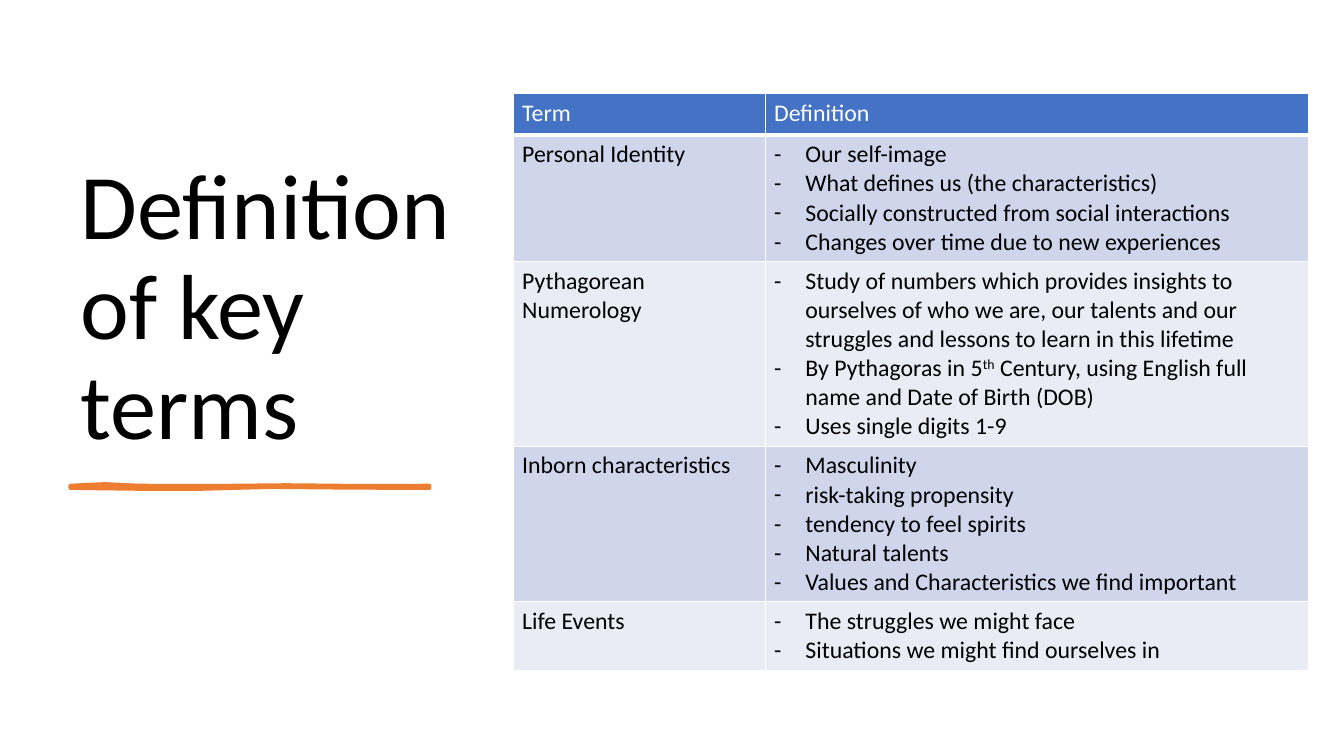
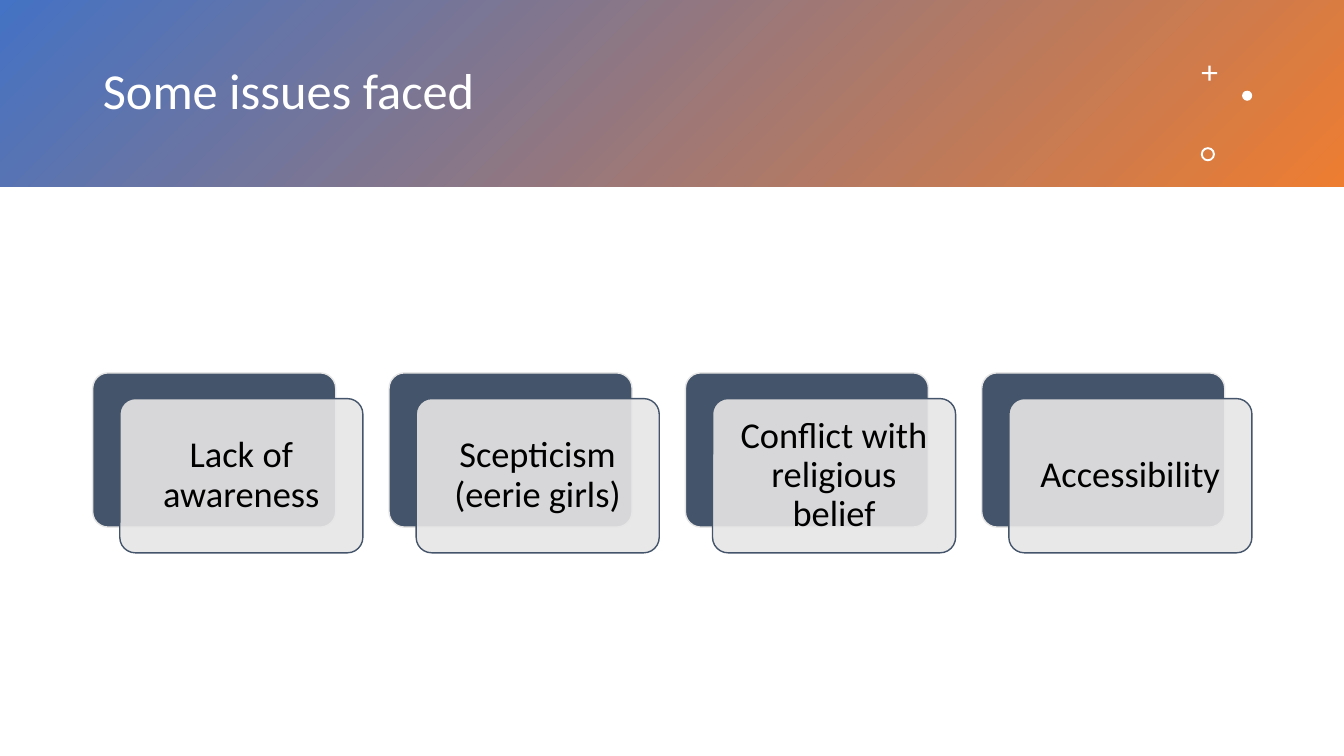
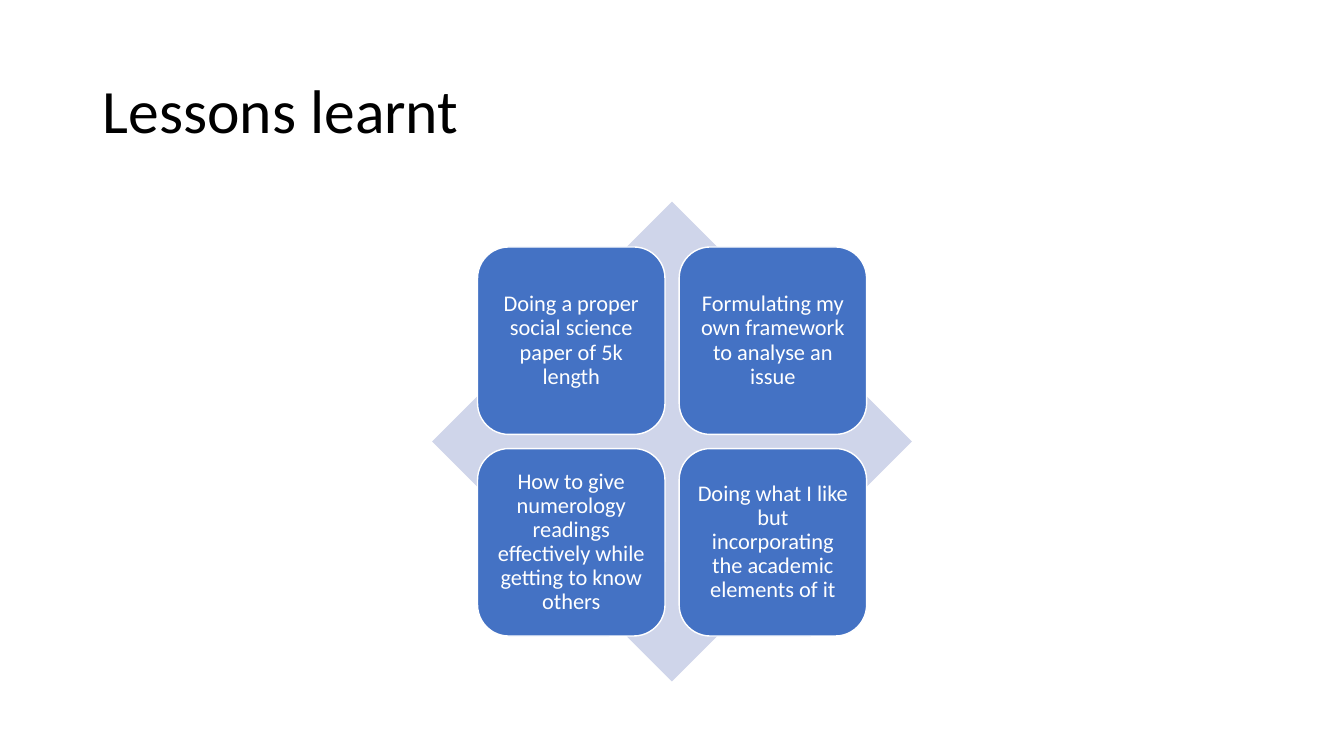
import lxml.etree
import pptx
import pptx.dml.color
import pptx.enum.shapes
import pptx.enum.text
import pptx.oxml.ns
import pptx.util

FONT = "Calibri"
COLOURS = {
    "black": "000000", "white": "FFFFFF", "blue": "4472C4", "orange": "ED7D31",
    "slate": "44546A", "grey": "E7E6E6", "pale": "CFD5EA", "paler": "E9EBF5",
}
SHAPES = pptx.enum.shapes.MSO_SHAPE
ALIGN = pptx.enum.text.PP_ALIGN
ANCHOR = pptx.enum.text.MSO_ANCHOR

TERMS = [
    ("Personal Identity", [
        "Our self-image",
        "What defines us (the characteristics)",
        "Socially constructed from social interactions",
        "Changes over time due to new experiences"]),
    ("Pythagorean Numerology", [
        "Study of numbers which provides insights to ourselves of who we are, "
        "our talents and our struggles and lessons to learn in this lifetime",
        "By Pythagoras in 5^th^ Century, using English full name and Date of Birth (DOB)",
        "Uses single digits 1-9"]),
    ("Inborn characteristics", [
        "Masculinity",
        "risk-taking propensity",
        "tendency to feel spirits",
        "Natural talents",
        "Values and Characteristics we find important"]),
    ("Life Events", [
        "The struggles we might face",
        "Situations we might find ourselves in"]),
]
ISSUES = ["Lack of awareness", "Scepticism (eerie girls)",
          "Conflict with religious belief", "Accessibility"]
LESSONS = [
    "Doing a proper social science paper of 5k length",
    "Formulating my own framework to analyse an issue",
    "How to give numerology readings effectively while getting to know others",
    "Doing what I like but incorporating the academic elements of it",
]


def rgb(name):
    return pptx.dml.color.RGBColor.from_string(COLOURS[name])


def add_xml(parent, tag, **attributes):
    child = lxml.etree.SubElement(parent, pptx.oxml.ns.qn(tag))
    for key, value in attributes.items():
        child.set(key, str(value))
    return child


class Slides:
    """Deck style and current page; lengths are percent of the slide's size."""

    def __init__(self):
        self.deck = pptx.Presentation()
        self.deck.slide_width = pptx.util.Inches(13.33)
        self.deck.slide_height = pptx.util.Inches(7.5)
        self.page = None

    def new_page(self):
        self.page = self.deck.slides.add_slide(self.deck.slide_layouts[5])

    def x(self, share):
        return round(self.deck.slide_width * share / 100)

    def y(self, share):
        return round(self.deck.slide_height * share / 100)

    def place(self, left, top, width, height):
        return self.x(left), self.y(top), self.x(width), self.y(height)

    def style(self, para, size, colour, align=ALIGN.LEFT, spacing=None):
        para.alignment = align
        para.line_spacing = spacing
        para.font.name = FONT
        para.font.size = pptx.util.Pt(size)
        para.font.bold = False
        para.font.color.rgb = rgb(colour)

    def title(self, text, area, size, colour="black", anchor=ANCHOR.MIDDLE):
        box = self.page.shapes.title
        box.left, box.top, box.width, box.height = self.place(*area)
        frame = box.text_frame
        frame.text = text
        frame.word_wrap = True
        frame.auto_size = pptx.enum.text.MSO_AUTO_SIZE.NONE
        frame.vertical_anchor = anchor
        self.style(frame.paragraphs[0], size, colour, spacing=0.9)
        self.page.shapes._spTree.append(box._element)  # in front of any band

    def paint(self, shape, fill, line=None, weight=1):
        shape.shadow.inherit = False
        shape.fill.solid()
        shape.fill.fore_color.rgb = rgb(fill)
        if line:
            shape.line.color.rgb = rgb(line)
            shape.line.width = pptx.util.Pt(weight)
        else:
            shape.line.fill.background()

    def shape(self, kind, area, fill, line=None, adjust=None, opacity=None):
        shape = self.page.shapes.add_shape(kind, *self.place(*area))
        self.paint(shape, fill, line)
        if adjust is not None:
            shape.adjustments[0] = adjust
        if opacity is not None:
            colour = shape._element.spPr.find(".//" + pptx.oxml.ns.qn("a:srgbClr"))
            add_xml(colour, "a:alpha", val=opacity * 1000)
        return shape

    def label(self, shape, text, size, colour, inset):
        frame = shape.text_frame
        frame.text = text
        frame.word_wrap = True
        frame.vertical_anchor = ANCHOR.MIDDLE
        frame.margin_left = frame.margin_right = pptx.util.Inches(inset)
        frame.margin_top = frame.margin_bottom = pptx.util.Inches(inset)
        self.style(frame.paragraphs[0], size, colour, ALIGN.CENTER, 0.9)

    def gradient_band(self, height, start, end):
        band = self.shape(SHAPES.RECTANGLE, (0, 0, 100, height), start)
        band.fill.gradient()
        band.fill.gradient_angle = 315
        for stop, colour in zip(band.fill.gradient_stops, (start, end)):
            stop.color.rgb = rgb(colour)

    def brush_stroke(self, points, colour):
        corners = [(self.x(left), self.y(top)) for left, top in points]
        builder = self.page.shapes.build_freeform(*corners[0])
        builder.add_line_segments(corners[1:], close=True)
        self.paint(builder.convert_to_shape(), colour, colour, 3)

    def cell(self, cell, lines, fill, colour="black", bullets=False, rule=1):
        """Fill a table cell; rule is the weight of its bottom border."""
        properties = cell._tc.get_or_add_tcPr()
        for side, weight in (("L", 1), ("R", 1), ("T", 1), ("B", rule)):
            border = add_xml(properties, "a:ln" + side, w=pptx.util.Pt(weight))
            add_xml(add_xml(border, "a:solidFill"), "a:srgbClr", val=COLOURS["white"])
        cell.fill.solid()
        cell.fill.fore_color.rgb = rgb(fill)
        cell.margin_left = cell.margin_right = pptx.util.Inches(0.09)
        frame = cell.text_frame
        for index, line in enumerate(lines):
            para = frame.add_paragraph() if index else frame.paragraphs[0]
            if bullets:
                indent = pptx.util.Inches(0.31)
                settings = para._p.get_or_add_pPr()
                settings.set("marL", str(indent))
                settings.set("indent", str(-indent))
                add_xml(settings, "a:buFont", typeface=FONT)
                add_xml(settings, "a:buChar", char="-")
            for part, words in enumerate(line.split("^")):
                span = para.add_run()
                span.text = words
                if part % 2:
                    span.font._element.set("baseline", "30000")
            self.style(para, 17, colour)

    def term_table(self, left, top, columns, rows, terms):
        area = self.place(left, top, sum(columns), sum(rows))
        table = self.page.shapes.add_table(len(rows), len(columns), *area).table
        for column, width in zip(table.columns, columns):
            column.width = self.x(width)
        for row, height in zip(table.rows, rows):
            row.height = self.y(height)
        for index, heading in enumerate(("Term", "Definition")):
            self.cell(table.cell(0, index), [heading], "blue", "white", rule=3)
        for row, (term, definition) in enumerate(terms, 1):
            fill = "pale" if row % 2 else "paler"
            self.cell(table.cell(row, 0), [term], fill)
            self.cell(table.cell(row, 1), definition, fill, bullets=True)


def key_terms(slides):
    slides.new_page()
    slides.title("Definition of key terms", (5.25, 9.33, 29.35, 52.13), 66,
                 anchor=ANCHOR.BOTTOM)
    slides.brush_stroke([
        (5.25, 64.27), (7.8, 64.05), (10.35, 64.27), (15.7, 64.3), (21.3, 64.2),
        (26.9, 64.3), (31.95, 64.27), (31.95, 64.53), (26.1, 64.5), (20.25, 64.4),
        (14.9, 64.65), (10.5, 64.65), (5.25, 64.53)], "orange")
    slides.term_table(38.18, 12.4, (18.75, 40.43),
                      (5.47, 16.4, 23.87, 20.13, 9.07), TERMS)


def issues(slides):
    slides.new_page()
    slides.gradient_band(24.67, "blue", "orange")
    slides.title("Some issues faced", (6.9, 4.4, 80.64, 15.87), 36, "white")
    slides.shape(SHAPES.CROSS, (89.42, 8.67, 1.13, 2), "white", adjust=0.43)
    slides.shape(SHAPES.OVAL, (92.42, 12, 0.75, 1.33), "white")
    slides.shape(SHAPES.DONUT, (89.35, 19.47, 1.05, 1.87), "white", adjust=0.14)
    width, height = 18.08, 20.4
    for index, issue in enumerate(ISSUES):
        left, top = 6.9 + index * 22.05, 49.33
        slides.shape(SHAPES.ROUNDED_RECTANGLE, (left, top, width, height),
                     "slate", "grey", adjust=0.1)
        card = slides.shape(SHAPES.ROUNDED_RECTANGLE,
                            (left + 2.02, top + 3.4, width, height),
                            "grey", "slate", adjust=0.1, opacity=90)
        slides.label(card, issue, 26, "black", 0.11)


def lessons(slides):
    slides.new_page()
    slides.title("Lessons learnt", (6.9, 5.33, 86.27, 19.33), 44)
    slides.shape(SHAPES.DIAMOND, (32.15, 26.67, 35.7, 63.47), "pale")
    for index, lesson in enumerate(LESSONS):
        row, column = divmod(index, 2)
        area = (35.53 + column * 15, 32.67 + row * 26.67, 13.95, 24.8)
        tile = slides.shape(SHAPES.ROUNDED_RECTANGLE, area, "blue", "white")
        slides.label(tile, lesson, 16, "white", 0.07)


def main():
    slides = Slides()
    for build in (key_terms, issues, lessons):
        build(slides)
    slides.deck.save("out.pptx")


if __name__ == "__main__":
    main()
